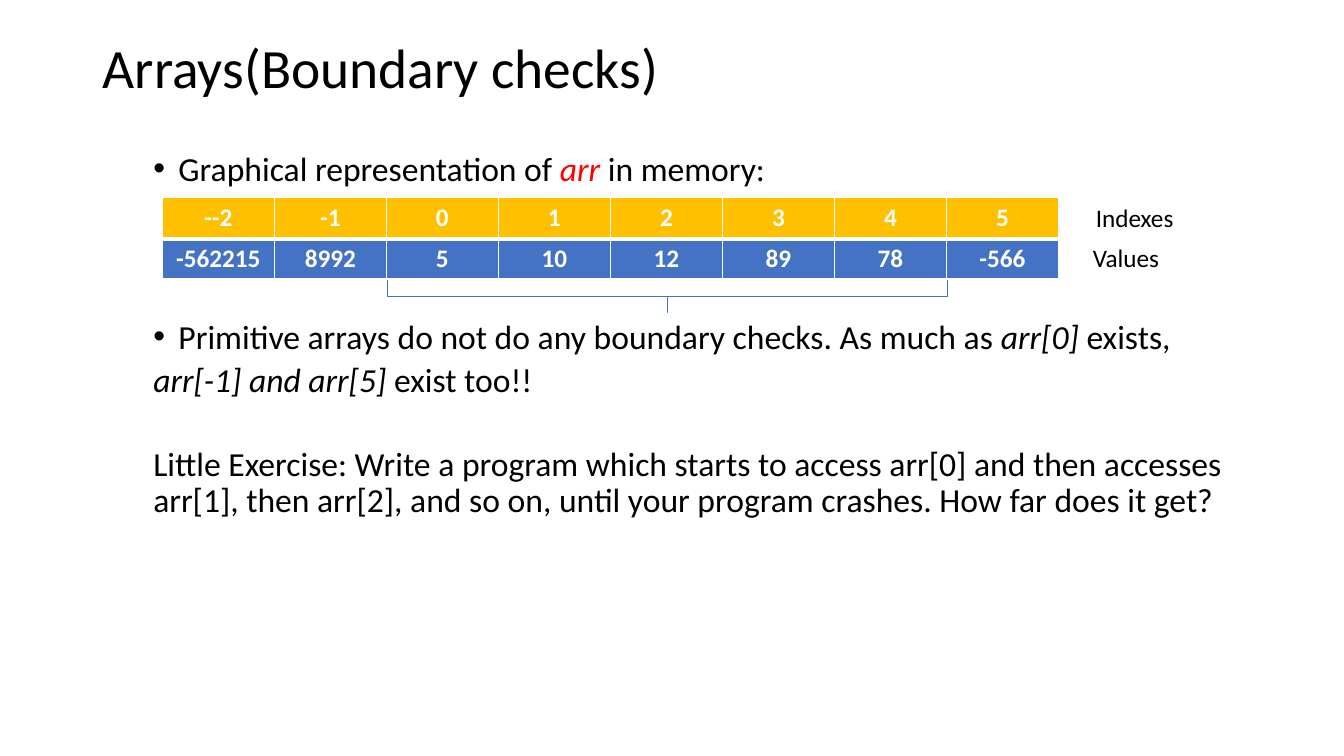
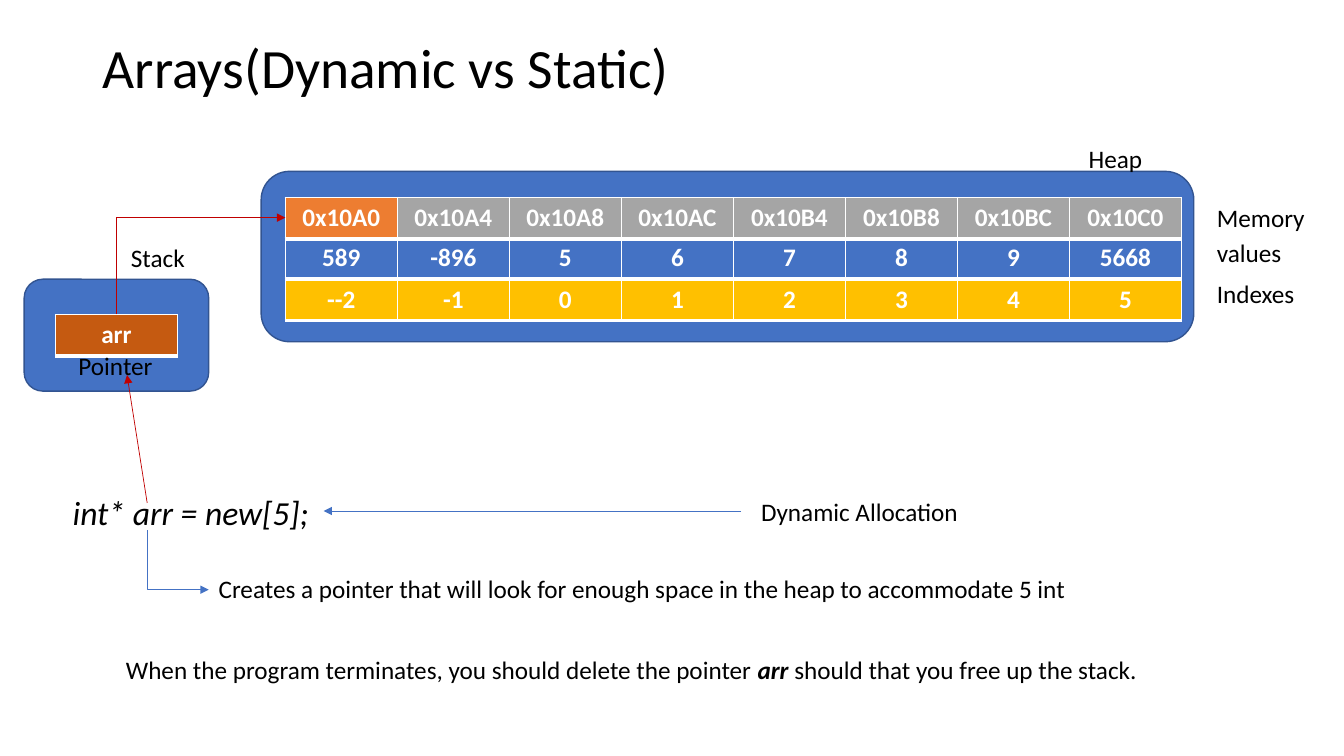
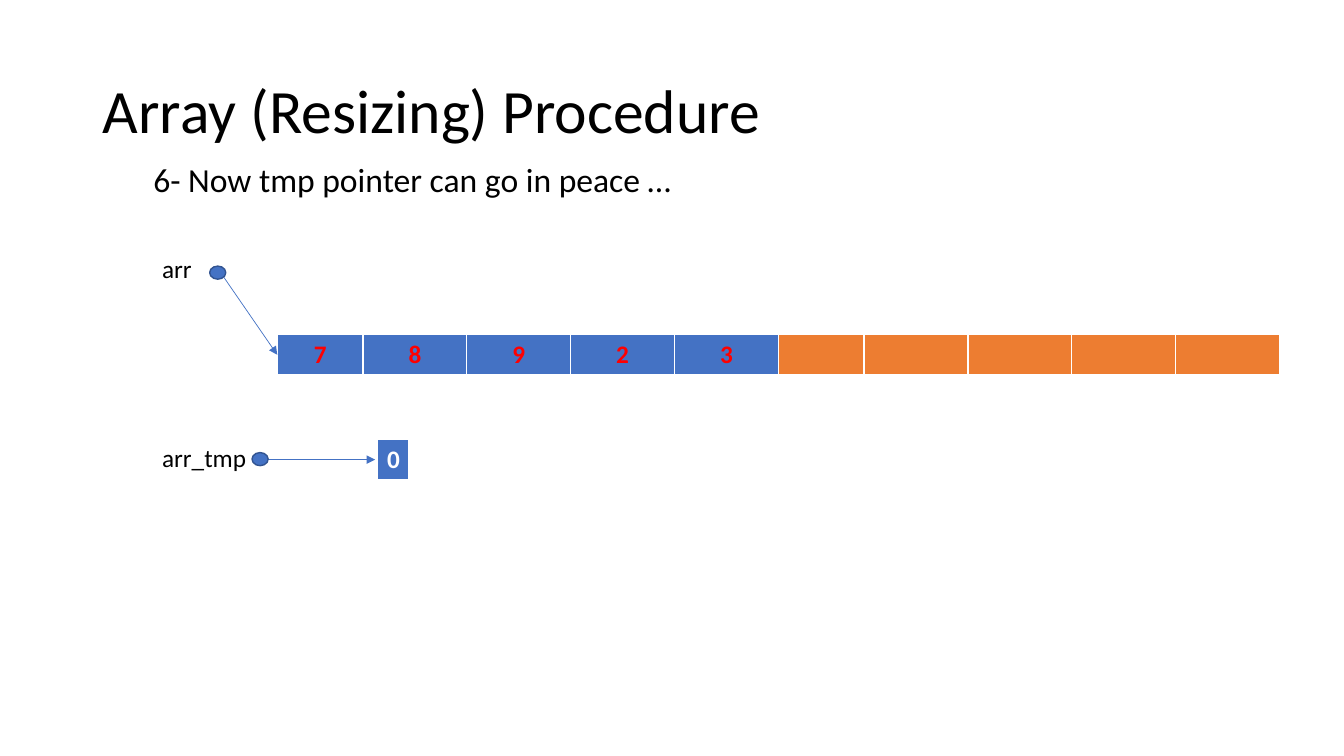
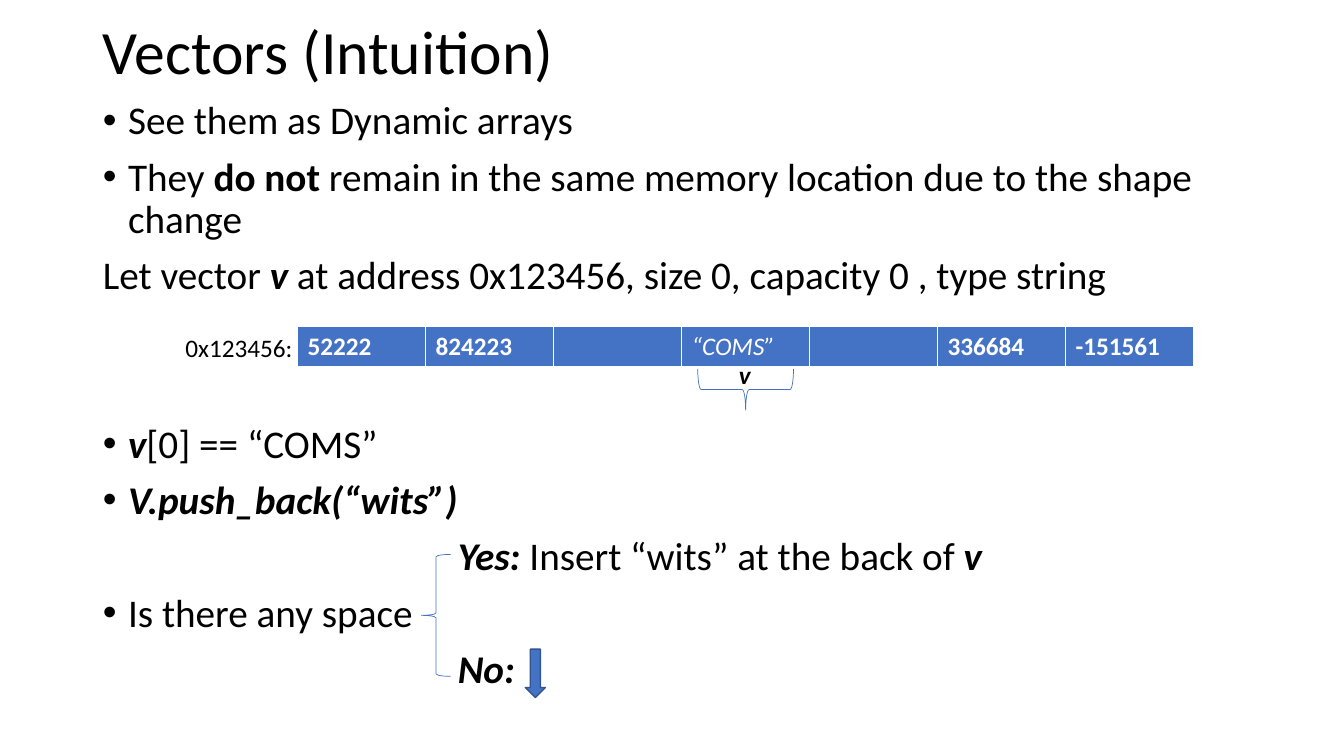
from dataclasses import dataclass

from lxml.etree import SubElement
from pptx import Presentation
from pptx.dml.color import RGBColor
from pptx.enum.shapes import MSO_CONNECTOR as Link, MSO_SHAPE as Shape
from pptx.enum.text import MSO_ANCHOR as Anchor, MSO_AUTO_SIZE as AutoSize, PP_ALIGN as Align
from pptx.oxml.ns import qn
from pptx.util import Emu, Pt

PX = 9144  # EMU per px, 100 px to the inch
FONT = "Calibri"
COLOURS = {
    "black": "000000",
    "white": "FFFFFF",
    "red": "FF0000",
    "crimson": "C00000",
    "blue": "4472C4",
    "navy": "325491",
    "gold": "FFC000",
    "orange": "ED7D31",
    "rust": "C55A11",
    "grey": "A5A5A5",
}
ROW = 41
WIDE = 889
EIGHT_COLUMNS = [WIDE / 8] * 8
FIVE_COLUMNS = [85] + [103] * 4
INDEXES = ["--2", "-1", "0", "1", "2", "3", "4", "5"]


@dataclass
class Span:
    text: str
    bold: bool = False
    italic: bool = False
    colour: str = "black"


@dataclass
class Item:
    """One body paragraph; left is its indent in px, before its space in points."""
    spans: list
    left: int = 0
    bullet: bool = False
    before: int = 5


def emu(*lengths):
    return [Emu(round(length * PX)) for length in lengths]


def rgb(name):
    return RGBColor.from_string(COLOURS[name])


def add_spans(para, spans, size):
    for span in spans:
        run = para.add_run()
        run.text = span.text
        font = run.font
        font.name, font.size = FONT, Pt(size)
        font.bold, font.italic = span.bold, span.italic
        font.color.rgb = rgb(span.colour)


def place(shape, box):
    shape.left, shape.top, shape.width, shape.height = emu(*box)


def add_page(deck, title, top, height, size):
    page = deck.slides.add_slide(deck.slide_layouts[1])
    holder = page.shapes.title
    place(holder, (92, top, 1150, height))
    frame = holder.text_frame
    frame.auto_size, frame.vertical_anchor = AutoSize.NONE, Anchor.MIDDLE
    para = frame.paragraphs[0]
    para.alignment, para.line_spacing = Align.LEFT, 0.9
    add_spans(para, [Span(title)], size)
    return page


def set_bullet(para, left, bullet):
    """Set the indent, and either hang a round bullet before the text or none."""
    props = para._p.get_or_add_pPr()
    props.set("marL", str(left * PX))
    props.set("indent", str(-25 * PX if bullet else 0))
    if bullet:
        SubElement(props, qn("a:buFont")).set("typeface", "Arial")
        SubElement(props, qn("a:buChar")).set("char", "•")
    else:
        SubElement(props, qn("a:buNone"))


def fill_body(page, box, items, size=24, inset=5):
    holder = page.placeholders[1]
    place(holder, box)
    frame = holder.text_frame
    frame.auto_size, frame.vertical_anchor = AutoSize.NONE, Anchor.TOP
    frame.margin_top = Emu(inset * PX)
    for number, item in enumerate(items):
        para = frame.add_paragraph() if number else frame.paragraphs[0]
        para.line_spacing, para.space_before = 0.9, Pt(item.before)
        set_bullet(para, item.left, item.bullet)
        add_spans(para, item.spans, size)


def add_label(page, left, top, width, *spans):
    box = page.shapes.add_textbox(*emu(left, top, width, 40))
    frame = box.text_frame
    frame.word_wrap, frame.auto_size = False, AutoSize.SHAPE_TO_FIT_TEXT
    add_spans(frame.paragraphs[0], spans, 18)


def set_borders(cell):
    props = cell._tc.get_or_add_tcPr()
    for side, points in (("L", 1), ("R", 1), ("T", 1), ("B", 3)):
        line = SubElement(props, qn(f"a:ln{side}"), w=str(Pt(points)))
        fill = SubElement(line, qn("a:solidFill"))
        SubElement(fill, qn("a:srgbClr"), val=COLOURS["white"])


def add_row(page, left, top, columns, cells, fills, align=Align.CENTER):
    """Draw a one-row table; cells holds a Span per column, fills a colour name."""
    frame = page.shapes.add_table(1, len(columns), *emu(left, top, sum(columns), ROW))
    table = frame.table
    table.first_row = table.horz_banding = False
    for column, width in zip(table.columns, columns):
        column.width, = emu(width)
    for cell, span, fill in zip(table.rows[0].cells, cells, fills):
        set_borders(cell)
        cell.fill.solid()
        cell.fill.fore_color.rgb = rgb(fill)
        para = cell.text_frame.paragraphs[0]
        para.alignment = align
        if span.text:
            add_spans(para, [span], 18)


def bold_cells(texts, colour="white"):
    return [Span(text, bold=True, colour=colour) for text in texts]


def add_solid(page, kind, box):
    shape = page.shapes.add_shape(kind, *emu(*box))
    shape.shadow.inherit = False
    shape.fill.solid()
    shape.fill.fore_color.rgb = rgb("blue")
    shape.line.color.rgb, shape.line.width = rgb("navy"), Pt(1)


def add_brace(page, kind, box, rotation=0, curve=None):
    brace = page.shapes.add_shape(kind, *emu(*box))
    brace.shadow.inherit = False
    brace.rotation = rotation
    brace.fill.background()
    brace.line.color.rgb, brace.line.width = rgb("blue"), Pt(0.5)
    if curve is not None:
        brace.adjustments[0] = curve


def add_arrow(page, start, end, colour="blue", bent=False):
    """Draw an arrow; a bent one runs vertically first, then across."""
    kind = Link.ELBOW if bent else Link.STRAIGHT
    arrow = page.shapes.add_connector(kind, *emu(*start, *end))
    arrow.line.color.rgb, arrow.line.width = rgb(colour), Pt(0.5)
    props = arrow._element.spPr
    SubElement(props.find(qn("a:ln")), qn("a:tailEnd"), type="triangle")
    SubElement(props, qn("a:effectLst"))
    if bent:
        guides = props.find(qn("a:prstGeom")).get_or_add_avLst()
        SubElement(guides, qn("a:gd"), name="adj1", fmla="val 0")


def boundary_page(deck):
    page = add_page(deck, "Arrays(Boundary checks)", 40, 60, 39.6)
    fill_body(page, (92, 146, 1150, 530), [
        Item([Span("Graphical representation of "),
              Span("arr", italic=True, colour="red"),
              Span(" in memory:")], 75, True),
        Item([Span("Primitive arrays do not do any boundary checks. As much as "),
              Span("arr[0] ", italic=True),
              Span("exists,")], 75, True, 94),
        Item([Span("arr[-1] and arr[5] ", italic=True), Span("exist too!!")], 50),
        Item([Span("Little Exercise: Write a program which starts to access arr[0] "
                   "and then accesses arr[1], then arr[2], and so on, until your "
                   "program crashes. How far does it get?")], 50, before=34),
    ])
    values = ["-562215", "8992", "5", "10", "12", "89", "78", "-566"]
    add_row(page, 161, 237, EIGHT_COLUMNS, bold_cells(values), ["blue"] * 8)
    add_brace(page, Shape.RIGHT_BRACE, (646, 16, 32, 556), 90, 0)
    add_row(page, 161, 196, EIGHT_COLUMNS, bold_cells(INDEXES), ["gold"] * 8)
    add_label(page, 1077, 196, 98, Span("Indexes"))
    add_label(page, 1074, 236, 87, Span("Values"))


def dynamic_page(deck):
    page = add_page(deck, "Arrays(Dynamic vs Static)", 40, 60, 39.6)
    fill_body(page, (12, 185, 1311, 435),
              [Item([Span("int* arr = new[5];", italic=True)], 50)], inset=308)
    add_solid(page, Shape.ROUNDED_RECTANGLE, (259, 170, 925, 169))
    add_solid(page, Shape.ROUNDED_RECTANGLE, (24, 277, 183, 111))

    addresses = ["0x10" + end for end in ("A0", "A4", "A8", "AC", "B4", "B8", "BC", "C0")]
    values = ["589", "-896", "5", "6", "7", "8", "9", "5668"]
    add_row(page, 283, 277, EIGHT_COLUMNS, bold_cells(INDEXES), ["gold"] * 8)
    add_row(page, 283, 236, EIGHT_COLUMNS, bold_cells(values), ["blue"] * 8)
    add_row(page, 283, 196, EIGHT_COLUMNS, bold_cells(addresses),
            ["orange"] + ["grey"] * 7)
    add_row(page, 55, 312, [121], bold_cells(["arr"]), ["rust"])

    for left, top, width, text in (
        (1197, 196, 108, "Memory"),
        (1197, 231, 85, "values"),
        (1197, 271, 98, "Indexes"),
        (207, 564, 862, "Creates a pointer that will look for enough space "
                        "in the heap to accommodate 5 int"),
        (68, 343, 94, "Pointer"),
        (1070, 137, 74, "Heap"),
        (745, 487, 218, "Dynamic Allocation"),
        (120, 236, 74, "Stack"),
    ):
        add_label(page, left, top, width, Span(text))
    add_label(page, 115, 644, 1029,
              Span("When the program terminates, you should delete the pointer "),
              Span("arr", bold=True, italic=True),
              Span(" should that you free up the stack."))

    add_arrow(page, (146, 526), (207, 585), bent=True)
    add_arrow(page, (115, 312), (283, 216), "crimson", bent=True)
    add_arrow(page, (146, 499), (126, 372), "crimson")
    add_arrow(page, (735, 507), (321, 507))


def resizing_page(deck):
    page = add_page(deck, "Array (Resizing) Procedure", 40, 145, 44)
    fill_body(page, (92, 157, 1150, 476),
              [Item([Span("6- Now tmp pointer can go in peace …")], 50)])
    add_solid(page, Shape.OVAL, (208, 264, 16, 13))
    add_label(page, 151, 246, 50, Span("arr"))
    add_arrow(page, (265, 456), (372, 456))
    add_solid(page, Shape.OVAL, (250, 449, 16, 13))
    add_label(page, 151, 434, 104, Span("arr_tmp"))
    add_row(page, 275, 332, FIVE_COLUMNS, bold_cells("78923", "red"), ["blue"] * 5)
    add_row(page, 772, 332, FIVE_COLUMNS, [Span("")] * 5, ["orange"] * 5)
    add_arrow(page, (222, 275), (275, 352))
    add_row(page, 374, 436, [31], bold_cells("0"), ["blue"], Align.LEFT)


def vectors_page(deck):
    page = add_page(deck, "Vectors (Intuition)", 14, 81, 44)
    vector = Span("v", bold=True, italic=True)
    fill_body(page, (92, 95, 1150, 624), [
        Item([Span("See them as Dynamic arrays")], 25, True, 10),
        Item([Span("They "), Span("do not ", bold=True),
              Span("remain in the same memory location due to the shape change")],
             25, True, 10),
        Item([Span("Let vector "), vector,
              Span(" at address 0x123456, size 0, capacity 0 , type string")], before=10),
        Item([vector, Span("[0] == “COMS”")], 25, True, 90),
        Item([Span("V.push_back(“wits”)", bold=True, italic=True)], 25, True, 10),
        Item([Span("Yes: ", bold=True, italic=True),
              Span("Insert “wits” at the back of "), vector], 352, before=10),
        Item([Span("Is there any space")], 25, True, 10),
        Item([Span("No:", bold=True, italic=True)], 352, before=10),
    ], size=28)
    cells = bold_cells(["52222", "824223", "", "", "", "336684", "-151561"])
    cells[3] = Span("“COMS”", italic=True, colour="white")
    add_row(page, 295, 324, [WIDE / 7] * 7, cells, ["blue"] * 7, Align.LEFT)
    add_brace(page, Shape.RIGHT_BRACE, (719, 339, 41, 95), 90)
    add_label(page, 723, 352, 32, vector)
    add_label(page, 174, 325, 127, Span("0x123456:"))
    add_brace(page, Shape.LEFT_BRACE, (418, 550, 29, 121))
    add_solid(page, Shape.DOWN_ARROW, (521, 644, 20, 48))


def main():
    deck = Presentation()
    deck.slide_width, deck.slide_height = emu(1333, 750)
    boundary_page(deck)
    dynamic_page(deck)
    resizing_page(deck)
    vectors_page(deck)
    deck.save("out.pptx")


if __name__ == "__main__":
    main()
